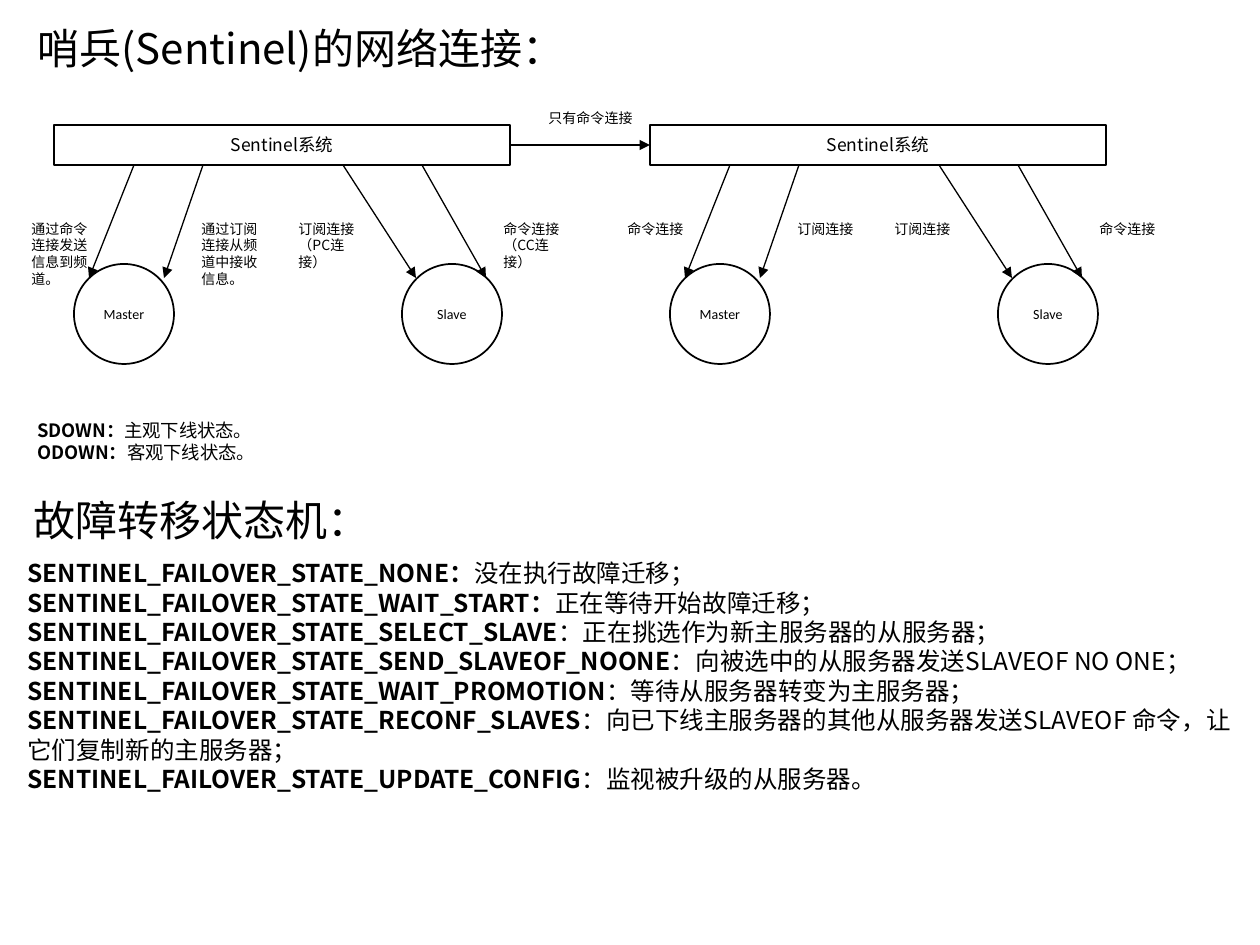
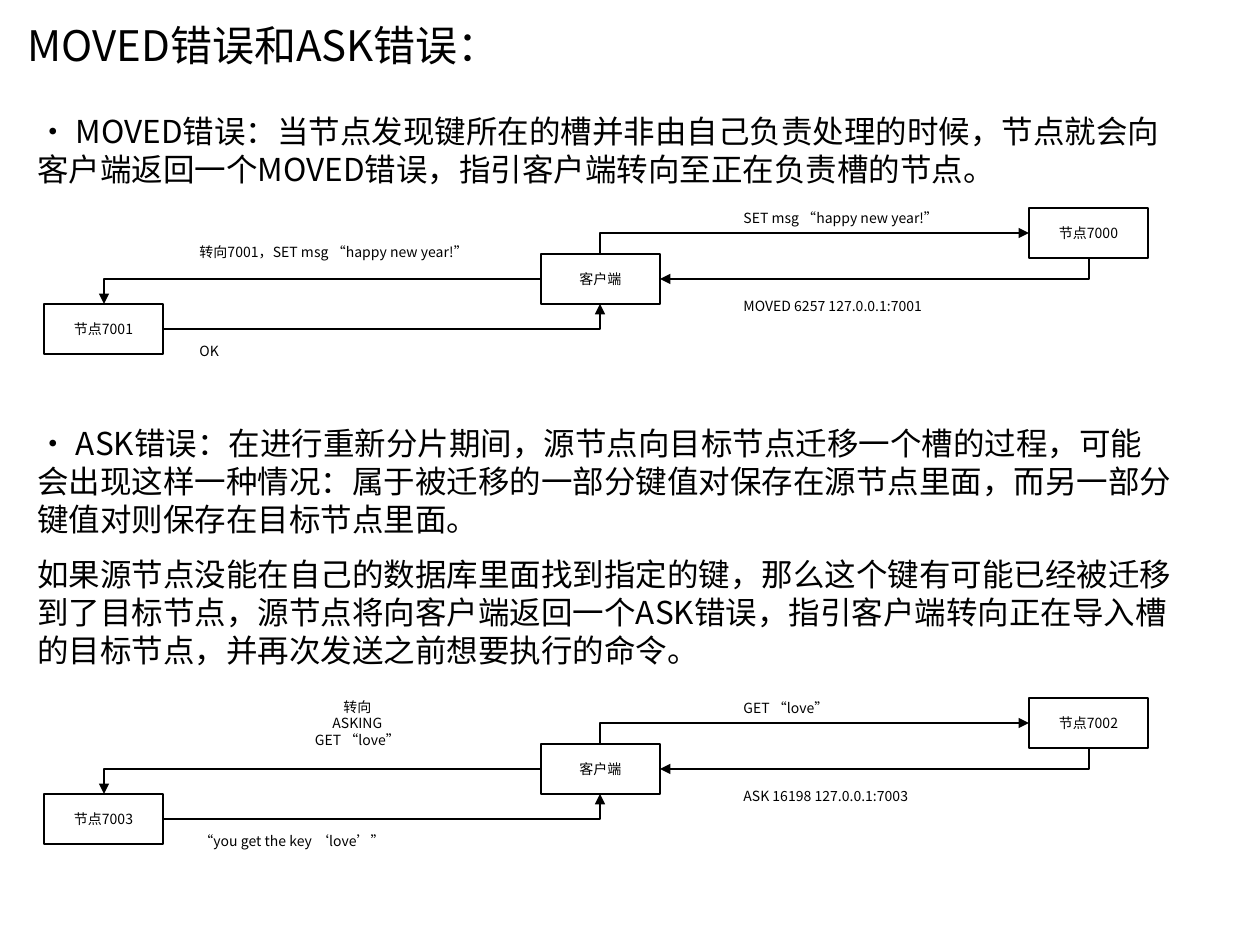
from lxml import etree
from pptx import Presentation
from pptx.dml.color import RGBColor
from pptx.enum.shapes import MSO_CONNECTOR, MSO_SHAPE
from pptx.enum.text import MSO_ANCHOR, MSO_AUTO_SIZE, PP_ALIGN
from pptx.oxml.ns import qn
from pptx.util import Emu, Pt

PX = 914400 / 126
INK, PAPER = "000000", "FFFFFF"
CJK, LATIN = "Noto Sans CJK SC", "Calibri"
TITLE, BODY, STATE, TERM, BAR, SMALL = 24, 18, 14, 10.5, 10, 8


def px(*lengths):
    return [Emu(round(length * PX)) for length in lengths]


def color(value):
    return RGBColor.from_string(value)


class Sketch:
    """Holds the shared style and the current slide."""

    def __init__(self):
        self.deck = Presentation()
        self.deck.slide_width, self.deck.slide_height = px(1260, 945)
        self.page = None

    def new_page(self, title, left, top):
        self.page = self.deck.slides.add_slide(self.deck.slide_layouts[5])
        box = self.page.shapes.title
        box.left, box.top, box.width, box.height = px(left, top, 1012, 63)
        self.fill_text(box.text_frame, [("", title)], TITLE)

    def fill_text(self, frame, paras, size, font=CJK, align=PP_ALIGN.LEFT,
                  anchor=MSO_ANCHOR.TOP, gap=0):
        """Fill a frame with paragraphs, each a (bold, plain) pair of texts."""
        frame.word_wrap = True
        frame.auto_size = MSO_AUTO_SIZE.NONE
        frame.vertical_anchor = anchor
        for index, texts in enumerate(paras):
            para = frame.add_paragraph() if index else frame.paragraphs[0]
            para.alignment = align
            para.space_before = Pt(gap if index else 0)
            for text, bold in zip(texts, (True, False)):
                if text:
                    span = para.add_run()
                    span.text = text
                    span.font.size, span.font.bold = Pt(size), bold
                    span.font.name = font
                    span.font.color.rgb = color(INK)
                    east = etree.SubElement(span.font._element, qn("a:ea"))
                    east.set("typeface", font)

    def text(self, paras, left, top, width, height, size, **style):
        box = self.page.shapes.add_textbox(*px(left, top, width, height))
        self.fill_text(box.text_frame, paras, size, **style)

    def label(self, words, left, top, width, height=30, **style):
        paras = [("", line) for line in words.split("\n")]
        self.text(paras, left, top, width, height, SMALL, **style)

    def node(self, words, left, top, width, height, size=SMALL,
             kind=MSO_SHAPE.RECTANGLE, font=CJK):
        box = self.page.shapes.add_shape(kind, *px(left, top, width, height))
        box.shadow.inherit = False
        box.fill.solid()
        box.fill.fore_color.rgb = color(PAPER)
        box.line.color.rgb = color(INK)
        box.line.width = Pt(1)
        self.fill_text(box.text_frame, [("", words)], size, font,
                       PP_ALIGN.CENTER, MSO_ANCHOR.MIDDLE)

    def arrow(self, x1, y1, x2, y2, kind=MSO_CONNECTOR.STRAIGHT):
        link = self.page.shapes.add_connector(kind, *px(x1, y1, x2, y2))
        link.line.color.rgb = color(INK)
        link.line.width = Pt(0.75)
        outline = link._element.spPr.find(qn("a:ln"))
        etree.SubElement(outline, qn("a:tailEnd")).set("type", "triangle")
        etree.SubElement(link._element.spPr, qn("a:effectLst"))
        return link

    def corner(self, x1, y1, x2, y2, upright=False):
        """One-bend arrow; it leaves sideways, or vertically when upright."""
        if upright:  # the frame lies a quarter turn back around its centre
            mid_x, mid_y = (x1 + x2) / 2, (y1 + y2) / 2
            half_x, half_y = (x2 - x1) / 2, (y2 - y1) / 2
            x1, y1 = mid_x - half_y, mid_y + half_x
            x2, y2 = mid_x + half_y, mid_y - half_x
        link = self.arrow(x1, y1, x2, y2, MSO_CONNECTOR.ELBOW)
        shape = link._element.spPr
        shape.find(qn("a:prstGeom")).set("prst", "bentConnector2")
        if upright:
            shape.find(qn("a:xfrm")).set("rot", "5400000")


def sentinel_cluster(sketch, left, labels):
    """A Sentinel bar linked to its master and slave."""
    sketch.node("Sentinel系统", left, 125, 456, 40, BAR)
    for name, offset in (("Master", 20), ("Slave", 348)):
        sketch.node(name, left + offset, 264, 100, 100,
                    kind=MSO_SHAPE.OVAL, font=LATIN)
    for start, end in ((80, 35), (149, 110), (289, 362), (368, 432)):
        sketch.arrow(left + start, 165, left + end, 278)
    for words, offset in zip(labels, (-35, 135, 232, 437)):
        sketch.label(words, left + offset, 214, 89, 81)


def redirect_flow(sketch, top, source, target, request, error, reply):
    """The client asks one node and is redirected to another."""
    for name, left, drop in (("客户端", 541, 46), (source, 1029, 0),
                             (target, 44, 96)):
        sketch.node(name, left, top + drop, 119, 50)
    sketch.corner(600, top + 46, 1029, top + 25, upright=True)
    sketch.corner(1089, top + 50, 660, top + 71, upright=True)
    sketch.corner(541, top + 71, 104, top + 96)
    sketch.corner(163, top + 121, 600, top + 96)
    sketch.label(request, 731, top - 5, 231)
    sketch.label(error, 731, top + 83, 231)
    sketch.label(reply, 187, top + 128, 339)


def sentinel_page(sketch):
    sketch.new_page("哨兵(Sentinel)的网络连接：", 25, 16)

    # Two linked clusters
    sentinel_cluster(sketch, 54, (
        "通过命令连接发送信息到频道。", "通过订阅连接从频道中接收信息。",
        "订阅连接\n（PC连接）", "命令连接\n（CC连接）"))
    sentinel_cluster(sketch, 650, ("命令连接", "订阅连接", "订阅连接", "命令连接"))
    sketch.arrow(511, 145, 650, 145)
    sketch.label("只有命令连接", 536, 103, 113)

    # Offline states
    sketch.text([("SDOWN：", "主观下线状态。"), ("ODOWN：", "客观下线状态。")],
                25, 413, 261, 57, TERM)

    # Failover state machine
    sketch.text([("", "故障转移状态机：")], 21, 488, 1012, 63, TITLE)
    states = (
        ("NONE：", "没在执行故障迁移；"),
        ("WAIT_START：", "正在等待开始故障迁移；"),
        ("SELECT_SLAVE", "：正在挑选作为新主服务器的从服务器；"),
        ("SEND_SLAVEOF_NOONE", "：向被选中的从服务器发送SLAVEOF NO ONE；"),
        ("WAIT_PROMOTION", "：等待从服务器转变为主服务器；"),
        ("RECONF_SLAVES", "：向已下线主服务器的其他从服务器发送SLAVEOF 命令，"
                          "让它们复制新的主服务器；"),
        ("UPDATE_CONFIG", "：监视被升级的从服务器。"),
    )
    sketch.text([("SENTINEL_FAILOVER_STATE_" + name, meaning)
                 for name, meaning in states], 15, 552, 1240, 295, STATE)


def redirect_page(sketch):
    sketch.new_page("MOVED错误和ASK错误：", 15, 13)

    # MOVED error
    sketch.text([("", "· MOVED错误：当节点发现键所在的槽并非由自己负责处理的时候，"
                      "节点就会向客户端返回一个MOVED错误，"
                      "指引客户端转向至正在负责槽的节点。")],
                25, 106, 1160, 89, BODY)
    redirect_flow(sketch, 208, "节点7000", "节点7001",
                  "SET msg “happy new year!”", "MOVED 6257 127.0.0.1:7001", "OK")
    sketch.label("转向7001，SET msg “happy new year!”", 187, 237, 339)

    # ASK error
    sketch.text([("", "· ASK错误：在进行重新分片期间，源节点向目标节点迁移一个槽的过程，"
                      "可能会出现这样一种情况：属于被迁移的一部分键值对保存在源节点里面，"
                      "而另一部分键值对则保存在目标节点里面。"),
                 ("", "如果源节点没能在自己的数据库里面找到指定的键，"
                      "那么这个键有可能已经被迁移到了目标节点，"
                      "源节点将向客户端返回一个ASK错误，"
                      "指引客户端转向正在导入槽的目标节点，并再次发送之前想要执行的命令。")],
                25, 418, 1160, 258, BODY, gap=10)
    redirect_flow(sketch, 698, "节点7002", "节点7003", "GET “love”",
                  "ASK 16198 127.0.0.1:7003", "“you get the key ‘love’”")
    sketch.label("转向\nASKING\nGET “love”", 188, 692, 339, 63,
                 align=PP_ALIGN.CENTER)


def main():
    sketch = Sketch()
    sentinel_page(sketch)
    redirect_page(sketch)
    sketch.deck.save("out.pptx")


if __name__ == "__main__":
    main()
